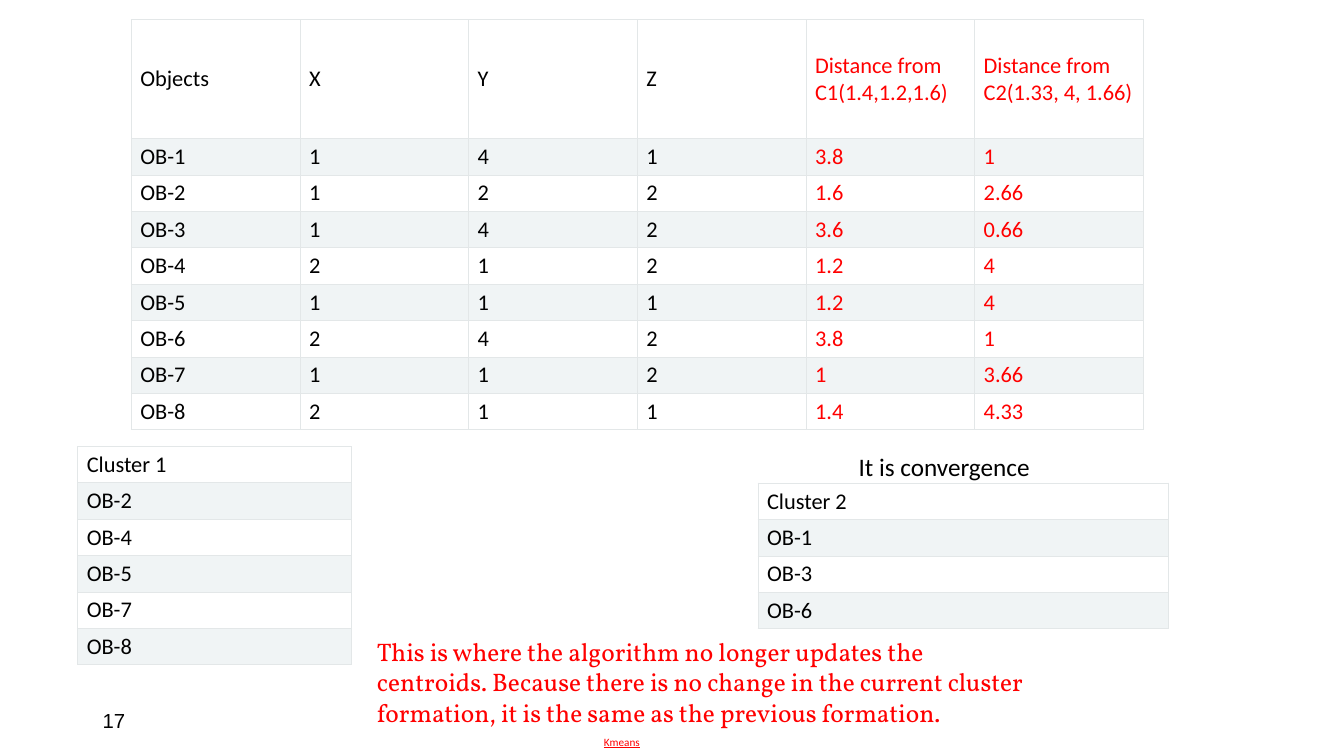
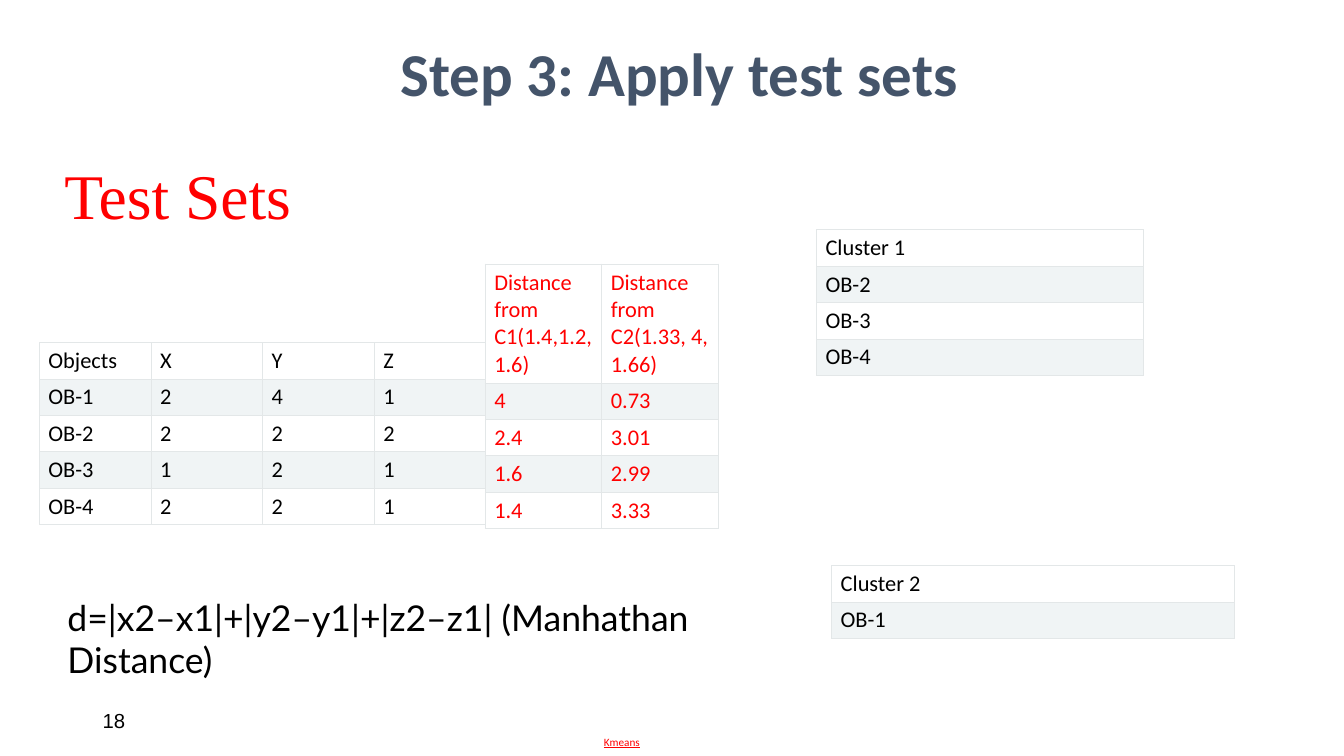
from lxml import etree
from pptx import Presentation, util as u
from pptx.dml.color import RGBColor
from pptx.enum import text
from pptx.oxml.ns import qn

COLORS = {"ink": "000000", "accent": "FF0000", "title": "44546A",
          "paper": "FFFFFF", "band": "F0F4F5", "rule": "E3E7E8"}
CENTROID_HEADERS = ["Distance from C1(1.4,1.2,1.6)", "Distance from C2(1.33, 4, 1.66)"]
OBJECT_HEADERS = ["Objects", "X", "Y", "Z"]


def rgb(name):
    return RGBColor.from_string(COLORS[name])


class Deck:
    """Shared style and current slide; positions are percentages of the slide."""

    BODY_FONT = "Calibri"
    ROW_HEIGHT, TALL_ROW_HEIGHT = u.Pt(26), u.Pt(85)
    SIDE_MARGIN, END_MARGIN = u.Pt(6.5), u.Pt(3.3)

    def __init__(self):
        self.presentation = Presentation()
        self.presentation.slide_width = u.Inches(13.33)
        self.presentation.slide_height = u.Inches(7.5)
        self.slide = None

    def x(self, share):
        return round(self.presentation.slide_width * share / 100)

    def y(self, share):
        return round(self.presentation.slide_height * share / 100)

    def new_slide(self, number):
        self.slide = self.presentation.slides.add_slide(self.presentation.slide_layouts[6])
        self.slide.background.fill.solid()
        self.slide.background.fill.fore_color.rgb = rgb("paper")
        self.add_text(str(number), (6.9, 92.67, 22.5, 5.33), 14.5, font="Arial", middle=True)

    def add_run(self, paragraph, words, size, color, font, bold=False, underline=False):
        run = paragraph.add_run()
        run.text = words
        run.font.size = u.Pt(size)
        run.font.name = font
        run.font.bold = bold
        run.font.underline = underline
        run.font.color.rgb = rgb(color)

    def add_text(self, words, box, size, color="ink", font=BODY_FONT, middle=False,
                 centered=False, wrap=True, **emphasis):
        left, top, width, height = box
        shape = self.slide.shapes.add_textbox(self.x(left), self.y(top), self.x(width), self.y(height))
        frame = shape.text_frame
        frame.word_wrap = wrap
        if middle:
            frame.vertical_anchor = text.MSO_ANCHOR.MIDDLE
        else:
            frame.auto_size = text.MSO_AUTO_SIZE.SHAPE_TO_FIT_TEXT
        paragraph = frame.paragraphs[0]
        paragraph.alignment = text.PP_ALIGN.CENTER if centered else text.PP_ALIGN.LEFT
        self.add_run(paragraph, words, size, color, font, **emphasis)

    def title(self, words):
        self.add_text(words, (2.93, 1.2, 95.25, 16.67), 43.5, "title", middle=True,
                      centered=True, bold=True)

    def footer(self):
        self.add_text("Kmeans", (29.4, 95.47, 33.75, 5.33), 8, "accent", middle=True,
                      centered=True, underline=True)

    def outline(self, cell):
        """Draw all four borders; they must precede the cell fill in the XML."""
        properties = cell._tc.get_or_add_tcPr()
        for side in ("a:lnL", "a:lnR", "a:lnT", "a:lnB"):
            line = etree.SubElement(properties, qn(side), w=str(u.Pt(0.6)))
            fill = etree.SubElement(line, qn("a:solidFill"))
            etree.SubElement(fill, qn("a:srgbClr"), val=COLORS["rule"])

    def table(self, rows, left, top, width, accent_from=None, tall_header=False):
        """Place a banded table; columns from accent_from onwards are in the accent colour."""
        columns = len(rows[0])
        heights = [self.TALL_ROW_HEIGHT if tall_header else self.ROW_HEIGHT]
        heights += [self.ROW_HEIGHT] * (len(rows) - 1)
        table = self.slide.shapes.add_table(len(rows), columns, self.x(left), self.y(top),
                                            self.x(width), sum(heights)).table
        table.first_row = table.horz_banding = False
        for column in table.columns:
            column.width = round(self.x(width) / columns)
        for i, values in enumerate(rows):
            table.rows[i].height = heights[i]
            for j, value in enumerate(values):
                cell = table.cell(i, j)
                self.outline(cell)
                cell.fill.solid()
                cell.fill.fore_color.rgb = rgb("band" if i % 2 else "paper")
                cell.vertical_anchor = text.MSO_ANCHOR.MIDDLE
                cell.margin_left = cell.margin_right = self.SIDE_MARGIN
                cell.margin_top = cell.margin_bottom = self.END_MARGIN
                accented = accent_from is not None and j >= accent_from
                self.add_run(cell.text_frame.paragraphs[0], value, 16,
                             "accent" if accented else "ink", self.BODY_FONT)

    def cluster(self, number, members, left, top, width):
        names = [f"Cluster {number}"] + [f"OB-{member}" for member in members]
        self.table([[name] for name in names], left, top, width)


def numbered(lines):
    """Split each line into values and put its object name in front."""
    return [[f"OB-{i}"] + line.split() for i, line in enumerate(lines, 1)]


def convergence_slide(deck):
    deck.new_slide(17)
    objects = numbered(["1 4 1 3.8 1", "1 2 2 1.6 2.66", "1 4 2 3.6 0.66", "2 1 2 1.2 4",
                        "1 1 1 1.2 4", "2 4 2 3.8 1", "1 1 2 1 3.66", "2 1 1 1.4 4.33"])
    deck.table([OBJECT_HEADERS + CENTROID_HEADERS] + objects, 9.77, 2.6, 75.3,
               accent_from=4, tall_header=True)
    deck.cluster(1, [2, 4, 5, 7, 8], 5.78, 59.05, 20.35)
    deck.cluster(2, [1, 3, 6], 56.4, 63.9, 30.53)
    deck.add_text("This is where the algorithm no longer updates the centroids. Because there is no "
                  "change in the current cluster formation, it is the same as the previous formation.",
                  (27.3, 83.47, 50.03, 13.6), 18.1, "accent", "Vollkorn")
    deck.footer()
    deck.add_text("It is convergence", (63.15, 59.07, 14.85, 5.33), 18, wrap=False)


def test_sets_slide(deck):
    deck.new_slide(18)
    deck.title("Step 3: Apply test sets")
    objects = numbered(["2 4 1", "2 2 2", "1 2 1", "2 2 1"])
    deck.table([OBJECT_HEADERS] + objects, 2.93, 45.3, 33.23)
    deck.add_text("Test Sets", (4.05, 20, 18.53, 11.47), 45.4, "accent", "Times New Roman", wrap=False)
    deck.cluster(1, [2, 3, 4], 60.75, 30.4, 24.3)
    distances = [["4", "0.73"], ["2.4", "3.01"], ["1.6", "2.99"], ["1.4", "3.33"]]
    deck.table([CENTROID_HEADERS] + distances, 36.1, 34.93, 17.35, accent_from=0, tall_header=True)
    deck.add_text("d=|x2–x1|+|y2–y1|+|z2–z1| (Manhathan Distance)",
                  (4.28, 78.13, 58.88, 12.8), 25.4, font="Lato")
    deck.cluster(2, [1], 61.88, 74.8, 30)
    deck.footer()


def main():
    deck = Deck()
    convergence_slide(deck)
    test_sets_slide(deck)
    deck.presentation.save("out.pptx")


if __name__ == "__main__":
    main()
